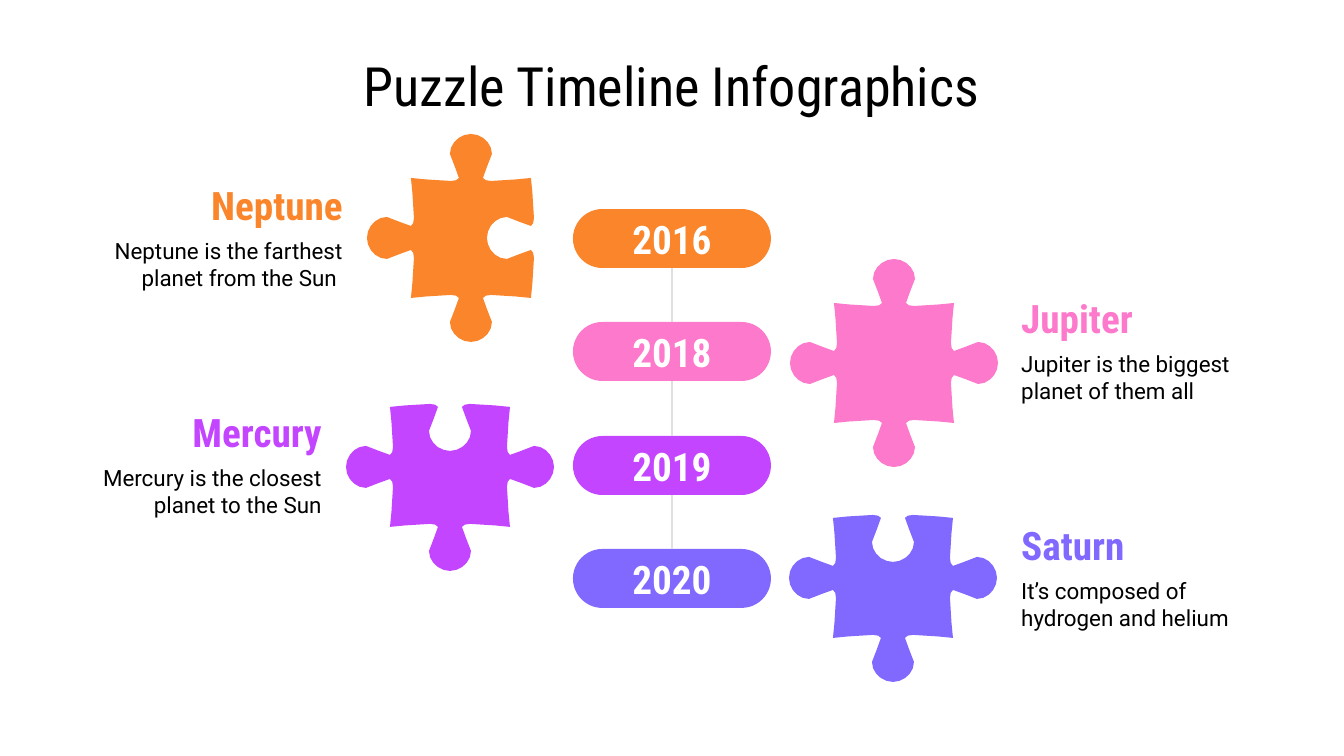
import dataclasses
import pptx
import pptx.dml.color
import pptx.enum.shapes
import pptx.enum.text
import pptx.oxml.ns
import pptx.util
from lxml import etree

PX = 914400 / 134.4
SHAPE = pptx.enum.shapes.MSO_SHAPE
ALIGN = pptx.enum.text.PP_ALIGN
ANCHOR = pptx.enum.text.MSO_ANCHOR


@dataclasses.dataclass(frozen=True)
class Theme:
    orange: str = "FA852A"
    pink: str = "FD79CB"
    purple: str = "C445FF"
    blue: str = "8168FF"
    line: str = "E0E0E0"
    white: str = "FFFFFF"
    black: str = "000000"
    head: str = "Roboto Condensed"
    body: str = "Roboto"
    title_size: int = 29
    head_size: int = 21
    body_size: int = 12


THEME = Theme()

# Half a piece side, as Bezier points (from centre line, outward), corner to tip.
HALF = [(60, 0), (54, 0), (39, -3), (20, -3), (16, -3), (13, -2), (12, 0),
        (12, 3), (13, 7), (16, 11), (19, 15), (21, 19), (21, 24),
        (21, 35), (11, 44), (0, 44)]
STEPS = (2, 2, 1, 1, 5)  # straight steps for each curve of HALF
PIECE = 208  # piece box, knobs included
BODY = 60    # from piece centre to body edge

# year, name, text, colour, piece corner, knob (1) or socket (-1) from top clockwise, note left, align
ITEMS = [
    ("2016", "Neptune", "Neptune is the farthest planet from the Sun ", THEME.orange,
     (367, 134), (1, -1, 1, 1), 79, ALIGN.RIGHT),
    ("2018", "Jupiter", "Jupiter is the biggest planet of them all", THEME.pink,
     (790, 259), (1, 1, 1, 1), 1008, ALIGN.LEFT),
    ("2019", "Mercury", "Mercury is the closest planet to the Sun", THEME.purple,
     (346, 363), (-1, 1, 1, 1), 58, ALIGN.RIGHT),
    ("2020", "Saturn", "It’s composed of hydrogen and helium", THEME.blue,
     (789, 474), (-1, 1, 1, 1), 1008, ALIGN.LEFT),
]


def emu(*sizes):
    return [pptx.util.Emu(round(size * PX)) for size in sizes]


def rgb(code):
    return pptx.dml.color.RGBColor.from_string(code)


def format_all(thing, values):
    for key, value in values.items():
        setattr(thing, key, value)


def paint(shape, color):
    shape.shadow.inherit = False
    shape.fill.solid()
    shape.fill.fore_color.rgb = rgb(color)
    shape.line.fill.background()


def write(shape, text, color, size, face, align, bold=False, anchor=ANCHOR.MIDDLE):
    frame = shape.text_frame
    inset = pptx.util.Inches(0.1)
    format_all(frame, {
        "word_wrap": True, "auto_size": pptx.enum.text.MSO_AUTO_SIZE.NONE,
        "vertical_anchor": anchor, "margin_left": inset, "margin_right": inset,
        "margin_top": inset, "margin_bottom": inset})
    line = frame.paragraphs[0]
    line.alignment = align
    run = line.add_run()
    run.text = text
    format_all(run.font, {"name": face, "size": pptx.util.Pt(size), "bold": bold})
    run.font.color.rgb = rgb(color)


def add_title(slide, box, text):
    shape = slide.shapes.title
    format_all(shape, dict(zip(("left", "top", "width", "height"), emu(*box))))
    write(shape, text, THEME.black, THEME.title_size, THEME.head, ALIGN.CENTER)


def trace(curve, counts):
    """Turn a chain of Bezier points into a list of points on the curve."""
    dots = [curve[0]]
    for part, count in enumerate(counts):
        a, b, c, d = curve[3 * part:3 * part + 4]
        for step in range(1, count + 1):
            t = step / count
            s = 1 - t
            dots.append(tuple(
                s ** 3 * a[i] + 3 * s * s * t * b[i] + 3 * s * t * t * c[i] + t ** 3 * d[i]
                for i in (0, 1)))
    return dots


def add_piece(slide, box, sides, color):
    left, top, size = box
    mid = size / 2
    half = trace(HALF, STEPS)
    edge = [(-x, out) for x, out in half] + half[-2:0:-1]
    points = []
    for turn, sign in enumerate(sides):
        for x, out in edge:
            y = -BODY - sign * out
            for _ in range(turn):
                x, y = -y, x
            points.append(tuple(emu(left + mid + x, top + mid + y)))
    pen = slide.shapes.build_freeform(*points[0], scale=1.0)
    pen.add_line_segments(points[1:], close=True)
    paint(pen.convert_to_shape(), color)


def add_pill(slide, box, year, color):
    pill = slide.shapes.add_shape(SHAPE.ROUNDED_RECTANGLE, *emu(*box))
    pill.adjustments[0] = 0.5
    paint(pill, color)
    write(pill, year, THEME.white, THEME.head_size, THEME.head, ALIGN.CENTER, True)
    return pill


def add_note(slide, box, name, text, color, align):
    left, top, width = box
    head = slide.shapes.add_textbox(*emu(left, top, width, 63))
    write(head, name, color, THEME.head_size, THEME.head, align, True)
    body = slide.shapes.add_textbox(*emu(left, top + 51, width, 78))
    write(body, text, THEME.black, THEME.body_size, THEME.body, align, anchor=ANCHOR.TOP)


def join(slide, upper, lower):
    link = slide.shapes.add_connector(pptx.enum.shapes.MSO_CONNECTOR.STRAIGHT, 0, 0, 0, 0)
    link.begin_connect(upper, 2)
    link.end_connect(lower, 0)
    link.line.color.rgb = rgb(THEME.line)
    link.line.width = pptx.util.Pt(1.5)
    etree.SubElement(link._element.spPr, pptx.oxml.ns.qn("a:effectLst"))


def add_timeline(slide, box):
    left, top, width, height = box
    tall = 59
    pills = []
    for i, (year, name, text, color, corner, sides, side, align) in enumerate(ITEMS):
        y = top + round(i * (height - tall) / (len(ITEMS) - 1))
        add_piece(slide, (*corner, PIECE), sides, color)
        pills.append(add_pill(slide, (left, y, width, tall), year, color))
        add_note(slide, (side, y - 36, 277), name, text, color, align)
    for upper, lower in zip(pills, pills[1:]):
        join(slide, upper, lower)


def main():
    deck = pptx.Presentation()
    deck.slide_width, deck.slide_height = emu(1344, 756)
    slide = deck.slides.add_slide(deck.slide_layouts[5])
    add_title(slide, (60, 67, 1224, 36), "Puzzle Timeline Infographics")
    add_timeline(slide, (573, 209, 198, 399))
    deck.save("out.pptx")


if __name__ == "__main__":
    main()
